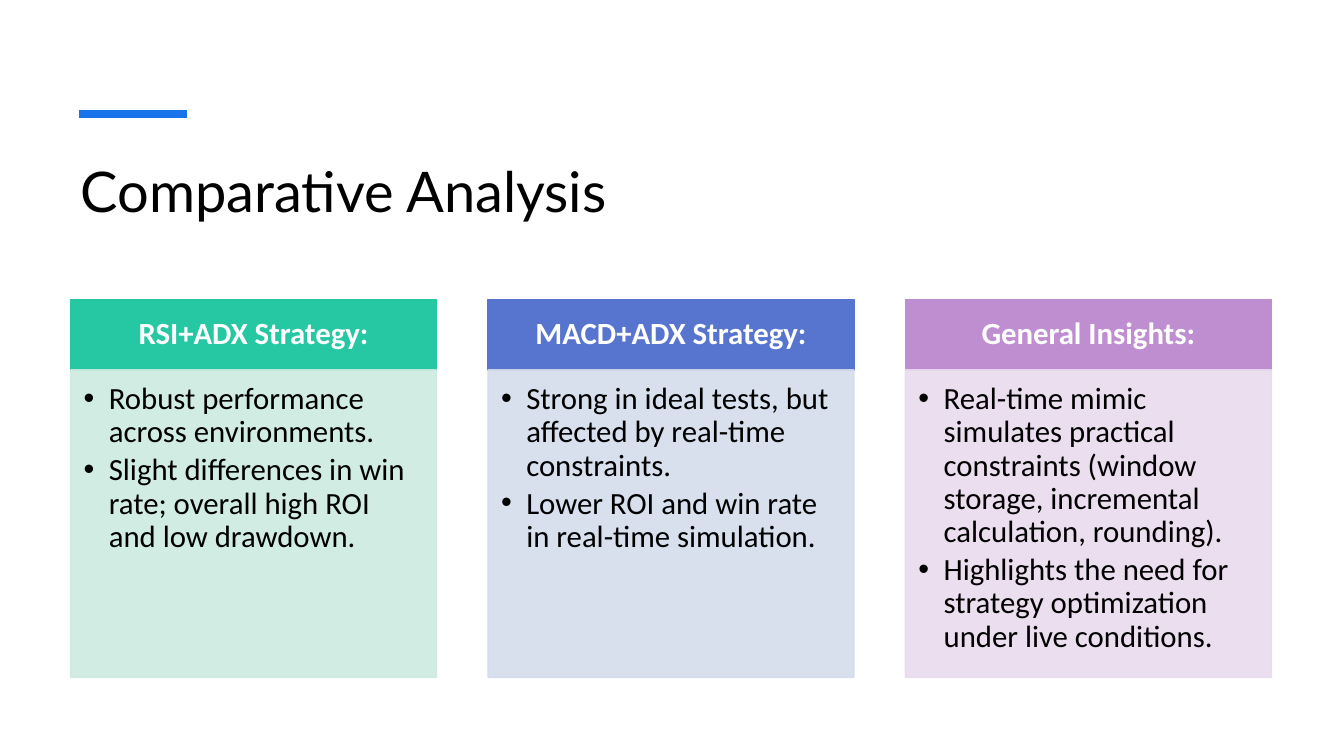
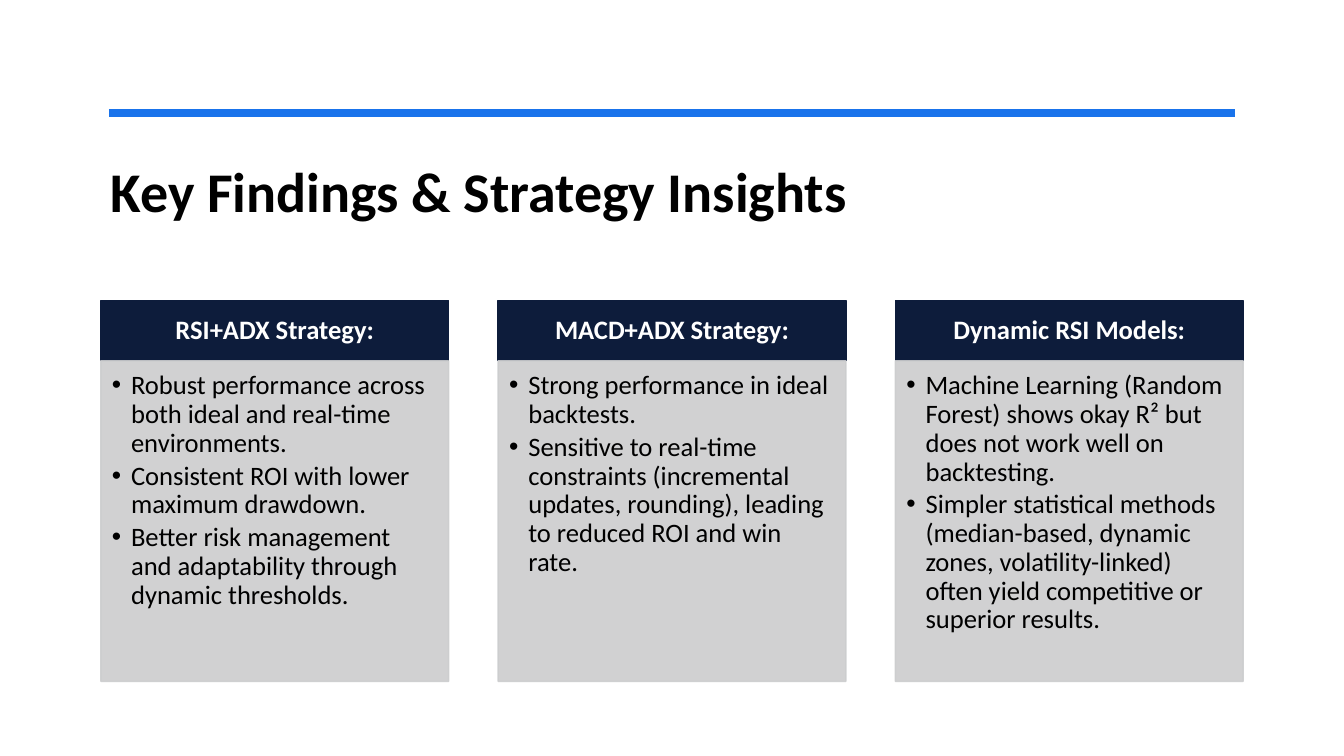
from lxml.etree import SubElement
from pptx import Presentation
from pptx.dml.color import RGBColor
from pptx.enum.shapes import MSO_CONNECTOR, MSO_SHAPE
from pptx.enum.text import MSO_ANCHOR, PP_ALIGN
from pptx.oxml.ns import qn
from pptx.util import Inches, Pt

ACCENT, BLACK, WHITE = "1973EB", "000000", "FFFFFF"
NAVY, GREY = "0D1C3B", "CCCDCE"
BODY = "Calibri"


def paint(target, color):
    target.rgb = RGBColor.from_string(color)


def add_run(para, text, size, color, font=BODY, bold=False):
    run = para.add_run()
    run.text = text
    run.font.name, run.font.size, run.font.bold = font, Pt(size), bold
    paint(run.font.color, color)


def set_inset(frame, left, top, right, bottom):
    frame.margin_left, frame.margin_top = Inches(left), Inches(top)
    frame.margin_right, frame.margin_bottom = Inches(right), Inches(bottom)


def set_title(slide, text, box, font, bold):
    title = slide.shapes.title
    title.left, title.top, title.width, title.height = map(Inches, box)
    frame = title.text_frame
    frame.word_wrap = True
    frame.vertical_anchor = MSO_ANCHOR.TOP
    para = frame.paragraphs[0]
    para.alignment = PP_ALIGN.LEFT
    add_run(para, text, 40, BLACK, font, bold)


def add_rule(slide, left, right, top):
    rule = slide.shapes.add_connector(
        MSO_CONNECTOR.STRAIGHT, Inches(left), Inches(top), Inches(right), Inches(top))
    paint(rule.line.color, ACCENT)
    rule.line.width = Pt(6)
    SubElement(rule._element.spPr, qn("a:effectLst"))


def add_panel(slide, box, color, inset, anchor, alpha=100):
    panel = slide.shapes.add_shape(MSO_SHAPE.RECTANGLE, *map(Inches, box))
    panel.shadow.inherit = False
    panel.fill.solid()
    paint(panel.fill.fore_color, color)
    paint(panel.line.color, color)
    panel.line.width = Pt(1)
    if alpha < 100:
        for tint in panel._element.spPr.iter(qn("a:srgbClr")):
            SubElement(tint, qn("a:alpha"), val=str(alpha * 1000))
    frame = panel.text_frame
    frame.word_wrap = True
    frame.vertical_anchor = anchor
    set_inset(frame, *inset)
    return frame


def add_bullets(frame, items, size, indent):
    for index, item in enumerate(items):
        para = frame.add_paragraph() if index else frame.paragraphs[0]
        props = para._p.get_or_add_pPr()
        props.set("marL", str(Inches(indent)))
        props.set("indent", str(-Inches(indent)))
        SubElement(props, qn("a:buFont"), typeface="Arial")
        SubElement(props, qn("a:buChar"), char="•")
        para.alignment = PP_ALIGN.LEFT
        para.line_spacing = 0.9
        para.space_after = Pt(0.15 * size)
        add_run(para, item, size, BLACK)


def add_cards(slide, cards, left, top, width, step, head, body, size, indent, pads):
    for index, (name, dark, light, items) in enumerate(cards):
        x = left + index * step
        frame = add_panel(slide, (x, top, width, head), dark, pads[0], MSO_ANCHOR.MIDDLE)
        para = frame.paragraphs[0]
        para.alignment = PP_ALIGN.CENTER
        para.line_spacing = 0.9
        add_run(para, name, size, WHITE, bold=True)
        frame = add_panel(slide, (x, top + head, width, body), light, pads[1],
                          MSO_ANCHOR.TOP, 90)
        add_bullets(frame, items, size, indent)


def add_slide(deck):
    return deck.slides.add_slide(deck.slide_layouts[5])


def build_analysis(deck):
    slide = add_slide(deck)
    set_title(slide, "Comparative Analysis", (0.7, 1.5, 11.91, 1.2), "Lato", False)
    add_rule(slide, 0.78, 1.85, 1.13)
    cards = [
        ("RSI+ADX Strategy:", "25C8A2", "CDEBE0", [
            "Robust performance across environments.",
            "Slight differences in win rate; overall high ROI and low drawdown."]),
        ("MACD+ADX Strategy:", "5775CF", "D4DCEC", [
            "Strong in ideal tests, but affected by real-time constraints.",
            "Lower ROI and win rate in real-time simulation."]),
        ("General Insights:", "BF8ED1", "E8DBEE", [
            "Real-time mimic simulates practical constraints "
            "(window storage, incremental calculation, rounding).",
            "Highlights the need for strategy optimization under live conditions."]),
    ]
    add_cards(slide, cards, left=0.7, top=2.97, width=3.63, step=4.14, head=0.7,
              body=3.05, size=22, indent=0.25,
              pads=((0.17, 0.1, 0.17, 0.1), (0.13, 0.13, 0.17, 0.19)))


def build_findings(deck):
    slide = add_slide(deck)
    set_title(slide, "Key Findings & Strategy Insights", (1, 1.5, 11.33, 1.25), BODY, True)
    add_rule(slide, 1.08, 12.25, 1.12)
    cards = [
        ("RSI+ADX Strategy:", NAVY, GREY, [
            "Robust performance across both ideal and real-time environments.",
            "Consistent ROI with lower maximum drawdown.",
            "Better risk management and adaptability through dynamic thresholds."]),
        ("MACD+ADX Strategy:", NAVY, GREY, [
            "Strong performance in ideal backtests.",
            "Sensitive to real-time constraints (incremental updates, rounding), "
            "leading to reduced ROI and win rate."]),
        ("Dynamic RSI Models:", NAVY, GREY, [
            "Machine Learning (Random Forest) shows okay R² "
            "but does not work well on backtesting.",
            "Simpler statistical methods (median-based, dynamic zones, "
            "volatility-linked) often yield competitive or superior results."]),
    ]
    add_cards(slide, cards, left=1, top=2.98, width=3.45, step=3.94, head=0.6,
              body=3.18, size=19, indent=0.19,
              pads=((0.15, 0.08, 0.15, 0.08), (0.11, 0.11, 0.15, 0.17)))


def main():
    deck = Presentation()
    deck.slide_width, deck.slide_height = Inches(13.33), Inches(7.5)
    build_analysis(deck)
    build_findings(deck)
    deck.save("out.pptx")


if __name__ == "__main__":
    main()
